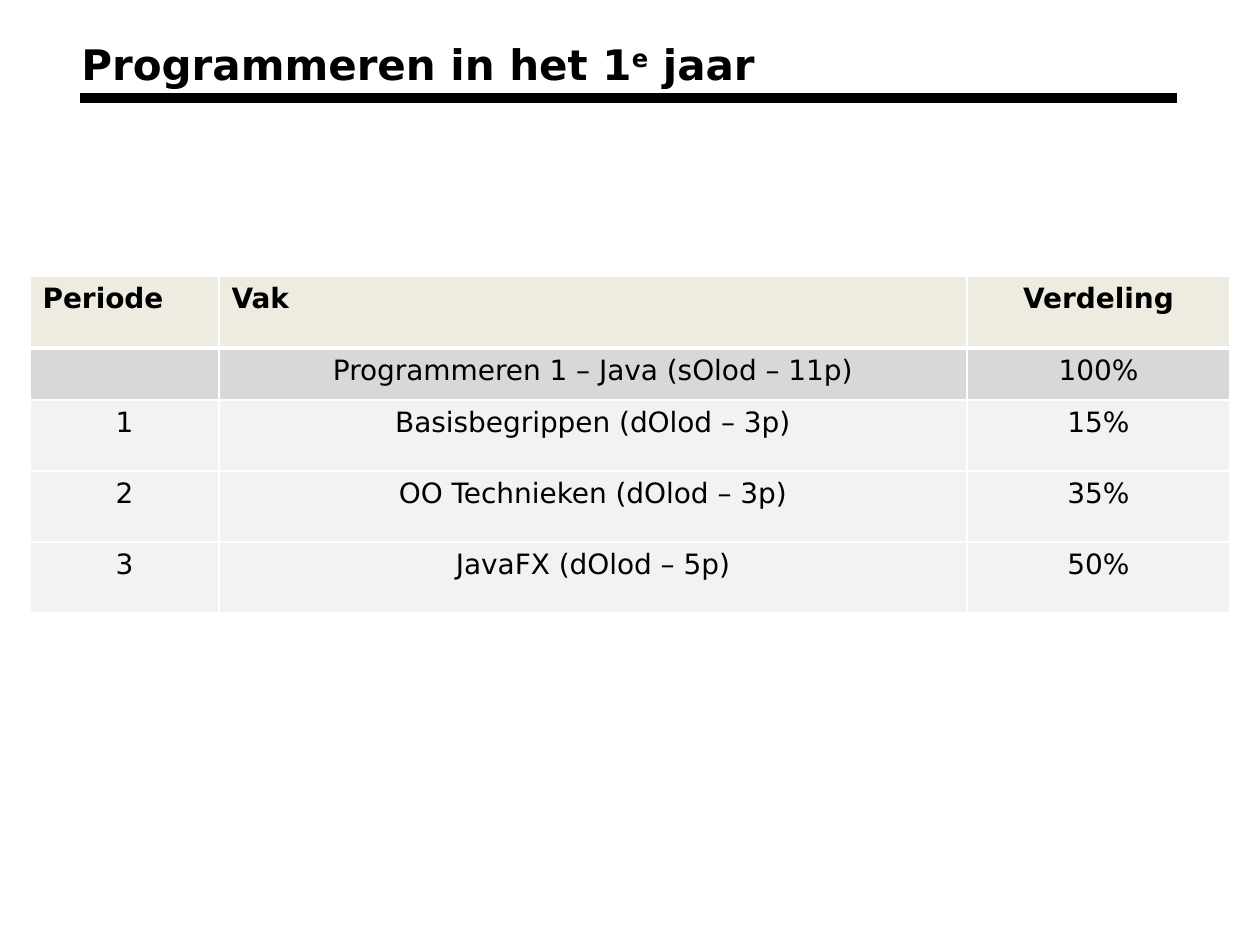
from pptx import Presentation
from pptx.dml.color import RGBColor
from pptx.enum.shapes import MSO_CONNECTOR
from pptx.enum.text import MSO_ANCHOR, PP_ALIGN
from pptx.oxml import parse_xml
from pptx.oxml.ns import nsdecls, qn
from pptx.util import Pt

STRAIGHT = MSO_CONNECTOR.STRAIGHT
TOP = MSO_ANCHOR.TOP
LEFT, CENTER = PP_ALIGN.LEFT, PP_ALIGN.CENTER

EMU_PER_PX = 914400 / 126
FONT = "DejaVu Sans"
COLORS = {
    "text": "000000",
    "border": "FFFFFF",
    "header": "EEECE1",
    "total": "D8D8D8",
    "course": "F2F2F2",
}


def px(length):
    return round(length * EMU_PER_PX)


def rgb(name):
    return RGBColor.from_string(COLORS[name])


class SlideBuilder:
    def __init__(self, slide):
        self.slide = slide

    def style_run(self, run, size, bold=False):
        run.font.name = FONT
        run.font.size = Pt(size)
        run.font.bold = bold
        run.font.color.rgb = rgb("text")

    def title(self, left, top, width, height, parts, size):
        """Add a bold title from (text, is_superscript) parts."""
        shape = self.slide.shapes.add_textbox(px(left), px(top), px(width), px(height))
        text_frame = shape.text_frame
        text_frame.word_wrap = True
        text_frame.vertical_anchor = TOP
        paragraph = text_frame.paragraphs[0]
        for text, is_superscript in parts:
            run = paragraph.add_run()
            run.text = text
            self.style_run(run, size, bold=True)
            if is_superscript:
                run.font._element.set("baseline", "30000")

    def rule(self, left, right, y, weight):
        line = self.slide.shapes.add_connector(STRAIGHT, px(left), px(y), px(right), px(y))
        line.line.color.rgb = rgb("text")
        line.line.width = Pt(weight)
        line._element.spPr.append(parse_xml(f"<a:effectLst {nsdecls('a')}/>"))

    def borders(self, cell, bottom, top):
        properties = cell._tc.get_or_add_tcPr()
        weights = {"a:lnL": 1, "a:lnR": 1, "a:lnT": top, "a:lnB": bottom}
        for index, (tag, weight) in enumerate(weights.items()):
            border = properties.makeelement(qn(tag), {"w": str(Pt(weight))})
            border.append(parse_xml(
                f"<a:solidFill {nsdecls('a')}>"
                f"<a:srgbClr val=\"{COLORS['border']}\"/></a:solidFill>"))
            properties.insert(index, border)

    def table(self, left, top, column_widths, row_heights, rows, fills, size):
        shape = self.slide.shapes.add_table(
            len(rows), len(column_widths), px(left), px(top),
            px(sum(column_widths)), px(sum(row_heights)))
        table = shape.table
        for column, width in zip(table.columns, column_widths):
            column.width = px(width)
        for row, height in zip(table.rows, row_heights):
            row.height = px(height)
        for row_index, (texts, fill) in enumerate(zip(rows, fills)):
            is_header = row_index == 0
            for column_index, text in enumerate(texts):
                cell = table.cell(row_index, column_index)
                cell.fill.solid()
                cell.fill.fore_color.rgb = rgb(fill)
                self.borders(cell, bottom=3 if is_header else 1,
                             top=3 if row_index == 1 else 1)
                if not text:
                    continue
                cell.text_frame.text = text
                paragraph = cell.text_frame.paragraphs[0]
                paragraph.alignment = LEFT if is_header and column_index < 2 else CENTER
                self.style_run(paragraph.runs[0], size, bold=is_header)


def main():
    presentation = Presentation()
    presentation.slide_width = px(1260)
    presentation.slide_height = px(945)
    builder = SlideBuilder(presentation.slides.add_slide(presentation.slide_layouts[6]))

    # Title and the rule below it
    builder.rule(80, 1177, 98, weight=6)
    title_parts = [("Programmeren in het 1", False), ("e", True), (" jaar", False)]
    builder.title(69, 32, 1076, 158, title_parts, size=24)

    # Course overview
    rows = [
        ("Periode", "Vak", "Verdeling"),
        ("", "Programmeren 1 – Java (sOlod – 11p)", "100%"),
        ("1", "Basisbegrippen (dOlod – 3p)", "15%"),
        ("2", "OO Technieken (dOlod – 3p)", "35%"),
        ("3", "JavaFX (dOlod – 5p)", "50%"),
    ]
    builder.table(30, 276, [189, 748, 263], [72, 52] + [71] * 3, rows,
                  ["header", "total"] + ["course"] * 3, size=16)

    presentation.save("out.pptx")


if __name__ == "__main__":
    main()
